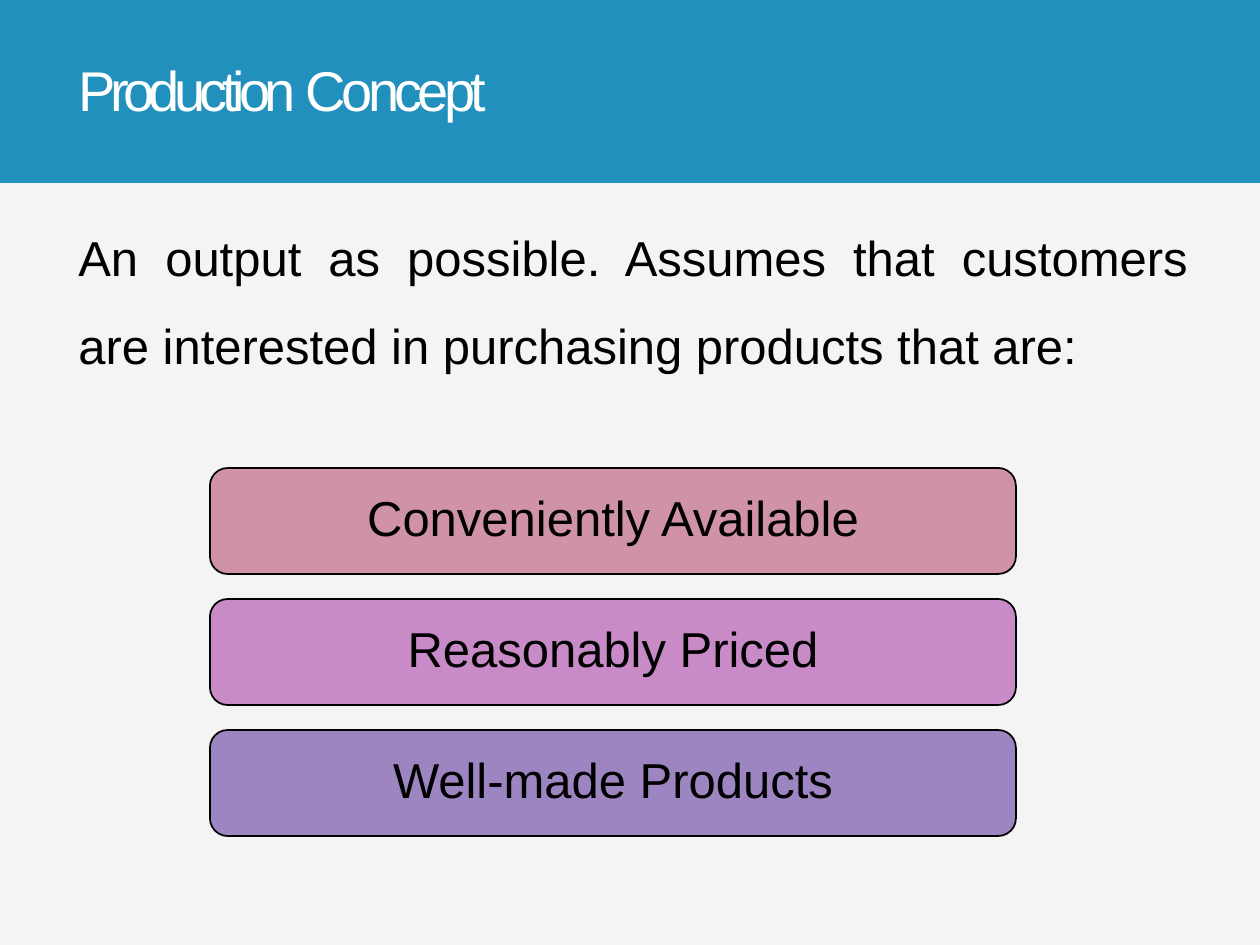
from pptx import Presentation
from pptx.dml.color import RGBColor
from pptx.enum.shapes import MSO_SHAPE
from pptx.enum.text import MSO_ANCHOR, PP_ALIGN
from pptx.util import Pt

PX = 914400 // 126
COLORS = {
    "background": "F4F4F5",
    "banner": "2190BC",
    "title": "FFFFFF",
    "text": "000000",
}
BENEFITS = [
    ("Conveniently Available", "D092A7"),
    ("Reasonably Priced", "C88BC7"),
    ("Well-made Products", "9C85C0"),
]


def add_panel(kind, left, top, width, height, fill):
    panel = page.shapes.add_shape(kind, left * PX, top * PX, width * PX, height * PX)
    panel.shadow.inherit = False
    panel.fill.solid()
    panel.fill.fore_color.rgb = RGBColor.from_string(fill)
    return panel


def style_font(paragraph, size, color):
    paragraph.font.name = "Arial"
    paragraph.font.size = Pt(size)
    paragraph.font.color.rgb = RGBColor.from_string(color)


deck = Presentation()
deck.slide_width, deck.slide_height = 1260 * PX, 945 * PX
page = deck.slides.add_slide(deck.slide_layouts[6])
page.background.fill.solid()
page.background.fill.fore_color.rgb = RGBColor.from_string(COLORS["background"])

# Title banner
banner = add_panel(MSO_SHAPE.RECTANGLE, 0, 0, 1260, 183, COLORS["banner"])
banner.line.fill.background()
title_box = page.shapes.add_textbox(66 * PX, 0, 1194 * PX, 183 * PX)
title_frame = title_box.text_frame
title_frame.word_wrap = True
title_frame.vertical_anchor = MSO_ANCHOR.MIDDLE
title_frame.margin_top = 1 * PX
title = title_frame.paragraphs[0]
title.space_before = Pt(0.8)
style_font(title, 32, COLORS["title"])
for word, spacing in [("Production ", -320), ("Concept", -270)]:
    span = title.add_run()
    span.text = word
    span.font._element.set("spc", str(spacing))

# Introduction
intro_box = page.shapes.add_textbox(66 * PX, 192 * PX, 1134 * PX, 736 * PX)
intro_box.text_frame.word_wrap = True
intro = intro_box.text_frame.paragraphs[0]
intro.text = (
    "An output as possible. Assumes that customers "
    "are interested in purchasing products that are:"
)
intro.alignment = PP_ALIGN.JUSTIFY
intro.line_spacing = 1.5
intro.space_before = Pt(3.2)
style_font(intro, 28, COLORS["text"])

# Stack of benefits
for row, (label, fill) in enumerate(BENEFITS):
    panel = add_panel(MSO_SHAPE.ROUNDED_RECTANGLE, 210, 468 + 131 * row, 806, 106, fill)
    panel.line.color.rgb = RGBColor.from_string(COLORS["text"])
    panel.line.width = Pt(1)
    frame = panel.text_frame
    frame.word_wrap = True
    frame.vertical_anchor = MSO_ANCHOR.MIDDLE
    benefit = frame.paragraphs[0]
    benefit.text = label
    benefit.alignment = PP_ALIGN.CENTER
    benefit.line_spacing = 0.9
    style_font(benefit, 28, COLORS["text"])

deck.save("out.pptx")
